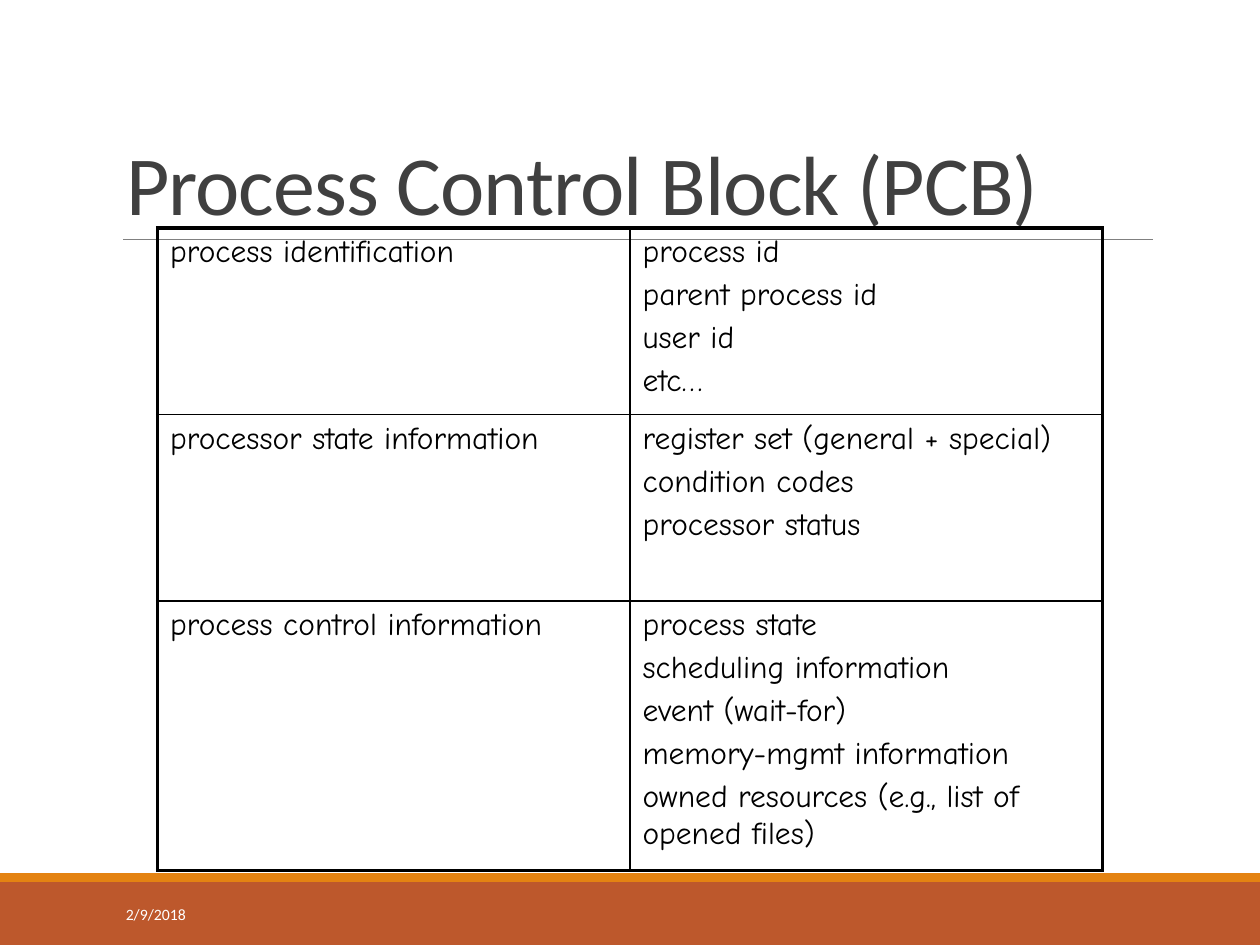
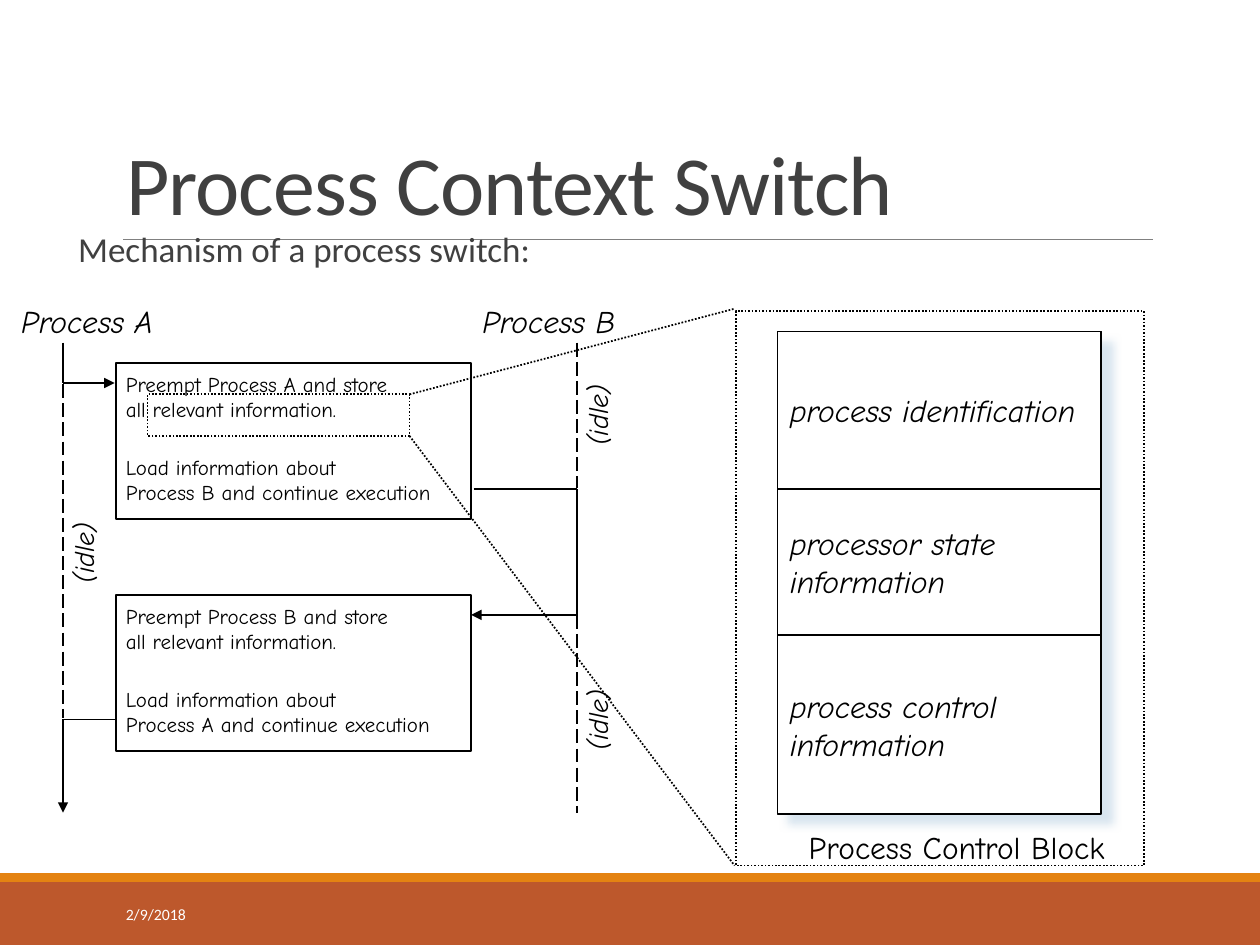
"""Build two slides on process control blocks and context switching."""
from lxml.etree import SubElement
from pptx import Presentation
from pptx.dml.color import RGBColor
from pptx.enum.dml import MSO_LINE as Dash
from pptx.enum.shapes import MSO_CONNECTOR as Link, MSO_SHAPE as Preset
from pptx.enum.text import MSO_ANCHOR as Anchor, MSO_AUTO_SIZE as Fit, PP_ALIGN as Align
from pptx.oxml.ns import qn
from pptx.util import Emu, Pt

SCALE = 9144
TITLE_ONLY = 5


def px(length):
    return Emu(length * SCALE)


def rgb(code):
    return RGBColor.from_string(code)


class Sketch:
    ink, paper, grey = "000000", "FFFFFF", "404040"
    rust, orange, rule, shade = "BD582C", "E48312", "808080", "CCDDEA"
    plain, hand = "Calibri", "Comic Neue"

    def __init__(self, deck):
        self.deck = deck
        self.page = None

    def start(self, title):
        self.page = self.deck.slides.add_slide(self.deck.slide_layouts[TITLE_ONLY])
        self.rect(0, 700, 1000, 50, fill=self.rust, line=None)
        self.rect(0, 693, 1000, 7, fill=self.orange, line=None)
        self.line((98, 190), (915, 190), color=self.rule, width=0.5)
        box = self.page.shapes.title
        box.left, box.top, box.width, box.height = map(px, (90, 31, 825, 159))
        self.fill_frame(box.text_frame, [title], 48, self.plain, self.grey,
                        anchor=Anchor.BOTTOM, leading=0.85)
        for style in box.element.iter(qn("a:defRPr")):
            style.set("spc", "-50")
        self.text(90, 706, 203, 40, ["2/9/2018"], 9, self.plain, self.paper,
                  anchor=Anchor.MIDDLE, wrap=True)

    def fill_frame(self, frame, lines, size=18, font=hand, color=ink, italic=False,
                   anchor=Anchor.TOP, leading=None, before=None, wrap=True):
        frame.word_wrap = wrap
        frame.auto_size = Fit.NONE if wrap else Fit.SHAPE_TO_FIT_TEXT
        frame.vertical_anchor = anchor
        self.paragraphs(frame, lines, size, font, color, italic, leading, before)

    def paragraphs(self, frame, lines, size=18, font=hand, color=ink, italic=False,
                   leading=None, before=None):
        frame.text = "\n".join(lines)
        for para in frame.paragraphs:
            para.alignment = Align.LEFT
            para.line_spacing = leading
            para.space_before = before
            para.font.size = Pt(size)
            para.font.name = font
            para.font.italic = italic
            para.font.color.rgb = rgb(color)

    def text(self, left, top, width, height, lines, size=18, font=hand, color=ink,
             turn=0, wrap=False, **style):
        box = self.page.shapes.add_textbox(*map(px, (left, top, width, height)))
        box.rotation = turn
        self.fill_frame(box.text_frame, lines, size, font, color, wrap=wrap, **style)
        return box

    def rect(self, left, top, width, height, fill=paper, line=ink, dash=None, lines=()):
        box = self.page.shapes.add_shape(Preset.RECTANGLE, *map(px, (left, top, width, height)))
        box.shadow.inherit = False
        if fill:
            box.fill.solid()
            box.fill.fore_color.rgb = rgb(fill)
        else:
            box.fill.background()
        if line:
            self.stroke(box.line, line, 1, dash)
        else:
            box.line.fill.background()
        if lines:
            self.fill_frame(box.text_frame, lines, italic=True, anchor=Anchor.MIDDLE)
        return box

    def stroke(self, line, color, width, dash):
        line.color.rgb = rgb(color)
        line.width = Pt(width)
        if dash:
            line.dash_style = dash

    def cast_shadow(self, box):
        effects = box.element.spPr.find(qn("a:effectLst"))
        shadow = SubElement(effects, qn("a:outerShdw"), blurRad=str(Pt(5)),
                            dist=str(Pt(8.5)), dir="2700000", algn="tl", rotWithShape="0")
        tint = SubElement(shadow, qn("a:srgbClr"), val=self.shade)
        SubElement(tint, qn("a:alpha"), val="75000")

    def line(self, start, end, color=ink, width=1, dash=None, arrow=False):
        link = self.page.shapes.add_connector(Link.STRAIGHT, *map(px, (*start, *end)))
        self.stroke(link.line, color, width, dash)
        shape = link.element.spPr
        if arrow:
            SubElement(shape.find(qn("a:ln")), qn("a:tailEnd"), type="triangle")
        SubElement(shape, qn("a:effectLst"))

    def table(self, left, top, widths, heights, rows):
        size = px(sum(widths)), px(sum(heights))
        frame = self.page.shapes.add_table(len(rows), len(widths), px(left), px(top), *size)
        table = frame.table
        table.first_row = table.horz_banding = False
        for column, width in zip(table.columns, widths):
            column.width = px(width)
        for row, height in zip(table.rows, heights):
            row.height = px(height)
        last_row, last_column = len(rows) - 1, len(widths) - 1
        for i, row in enumerate(rows):
            for j, lines in enumerate(row):
                cell = table.cell(i, j)
                self.paragraphs(cell.text_frame, lines, before=Pt(3.8))
                self.borders(cell, L=j == 0, R=j == last_column, T=i == 0, B=i == last_row)
                cell.fill.background()

    def borders(self, cell, **outer_sides):
        holder = cell._tc.get_or_add_tcPr()
        for side, outer in outer_sides.items():
            edge = SubElement(holder, qn(f"a:ln{side}"), w=str(Pt(2.25 if outer else 1)))
            paint = SubElement(edge, qn("a:solidFill"))
            SubElement(paint, qn("a:srgbClr"), val=self.ink)


def control_block(sketch):
    sketch.start("Process Control Block (PCB)")
    sketch.table(125, 181, (375, 375), (148, 148, 214), [
        (["process identification"],
         ["process id", "parent process id", "user id", "etc…"]),
        (["processor state information"],
         ["register set (general + special)", "condition codes", "processor status"]),
        (["process control information"],
         ["process state", "scheduling information", "event (wait-for)",
          "memory-mgmt information", "owned resources (e.g., list of opened files)"]),
    ])


def context_switch(sketch):
    sketch.start("Process Context Switch")
    sketch.cast_shadow(sketch.rect(617, 263, 257, 382))
    intro = sketch.text(42, 179, 917, 65, ["Mechanism of a process switch:"], 20,
                        sketch.plain, sketch.grey, leading=0.9, wrap=True)
    intro.text_frame.margin_left = px(20)

    for top, old, new in ((288, "A", "B"), (472, "B", "A")):
        sketch.rect(92, top, 282, 124)
        sketch.text(90, top + 2, 240, 50,
                    [f"Preempt Process {old} and store", "all relevant information."], 12)
        sketch.text(90, top + 68, 272, 50,
                    ["Load information about", f"Process {new} and continue execution"], 12)

    a, b = 50, 458
    sketch.line((a, 272), (a, 304))
    sketch.line((a, 304), (91, 304), arrow=True)
    sketch.line((a, 305), (a, 570), dash=Dash.LONG_DASH)
    sketch.line((92, 571), (a, 571))
    sketch.line((a, 571), (a, 645), arrow=True)
    sketch.line((b, 272), (b, 387), dash=Dash.LONG_DASH)
    sketch.line((376, 388), (b, 388))
    sketch.line((b, 388), (b, 495))
    sketch.line((b, 488), (374, 488), arrow=True)
    sketch.line((b, 488), (b, 645), dash=Dash.LONG_DASH)

    for left, top in ((439, 311), (439, 553), (31, 420)):
        sketch.text(left, top, 69, 36, ["(idle)"], 16, italic=True, turn=270)
    for left, name in ((7, "Process A"), (373, "Process B")):
        sketch.text(left, 235, 129, 40, [name], italic=True)

    top = 263
    for height, lines in ((125, ["process identification"]),
                          (116, ["processor state", "information"]),
                          (142, ["process control", "information"])):
        sketch.rect(617, top, 257, height, lines=lines)
        top += height

    sketch.rect(117, 313, 208, 33, fill=None, dash=Dash.ROUND_DOT)
    sketch.rect(584, 247, 324, 440, fill=None, dash=Dash.ROUND_DOT)
    sketch.line((325, 313), (583, 245), dash=Dash.ROUND_DOT)
    sketch.line((325, 346), (583, 687), dash=Dash.ROUND_DOT)
    sketch.text(632, 652, 265, 40, ["Process Control Block"])


def main():
    deck = Presentation()
    deck.slide_width, deck.slide_height = px(1000), px(750)
    sketch = Sketch(deck)
    control_block(sketch)
    context_switch(sketch)
    deck.save("out.pptx")


if __name__ == "__main__":
    main()
